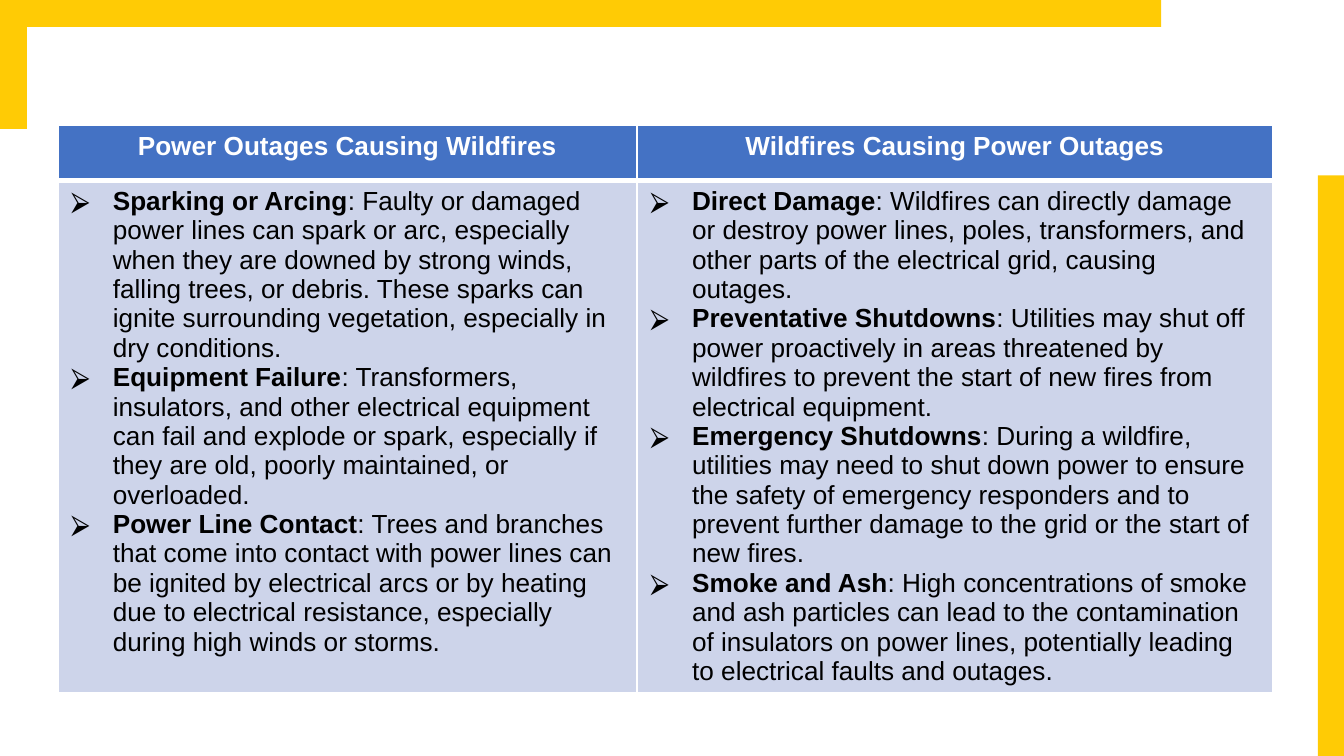
import pptx
import pptx.dml.color
import pptx.enum.shapes
import pptx.enum.text
import pptx.util
from lxml import etree
from pptx.util import Inches

COLUMNS = [
    ("Power Outages Causing Wildfires", 4.31, [
        ("Sparking or Arcing", "Faulty or damaged power lines can spark or arc, especially when they are downed by strong winds, falling trees, or debris. These sparks can ignite surrounding vegetation, especially in dry conditions."),
        ("Equipment Failure", "Transformers, insulators, and other electrical equipment can fail and explode or spark, especially if they are old, poorly maintained, or overloaded."),
        ("Power Line Contact", "Trees and branches that come into contact with power lines can be ignited by electrical arcs or by heating due to electrical resistance, especially during high winds or storms."),
    ]),
    ("Wildfires Causing Power Outages", 4.73, [
        ("Direct Damage", "Wildfires can directly damage or destroy power lines, poles, transformers, and other parts of the electrical grid, causing outages."),
        ("Preventative Shutdowns", "Utilities may shut off power proactively in areas threatened by wildfires to prevent the start of new fires from electrical equipment."),
        ("Emergency Shutdowns", "During a wildfire, utilities may need to shut down power to ensure the safety of emergency responders and to prevent further damage to the grid or the start of new fires."),
        ("Smoke and Ash", "High concentrations of smoke and ash particles can lead to the contamination of insulators on power lines, potentially leading to electrical faults and outages."),
    ]),
]
BAR = 0.2
FRAME_BARS = [(-0.38, 0.38, 0.96, BAR, 270), (0, 0, 8.64, BAR, 180), (7.73, 3.38, 4.35, BAR, 270)]
ROW_HEIGHT = 0.41
YELLOW, BLUE, PALE_BLUE, WHITE, BLACK = "FFCB05", "4472C4", "CDD4EA", "FFFFFF", "000000"
DRAWING = "{http://schemas.openxmlformats.org/drawingml/2006/main}"


def rgb(value):
    return pptx.dml.color.RGBColor.from_string(value)


def paint(target, color):
    target.fill.solid()
    target.fill.fore_color.rgb = rgb(color)


def add_borders(cell, bottom=1):
    properties = cell._tc.get_or_add_tcPr()
    for side, weight in {"lnL": 1, "lnR": 1, "lnT": 1, "lnB": bottom}.items():
        border = etree.SubElement(properties, DRAWING + side, w=str(pptx.util.Pt(weight)))
        fill = etree.SubElement(border, DRAWING + "solidFill")
        etree.SubElement(fill, DRAWING + "srgbClr", val=WHITE)


def add_text(paragraph, text, *, color=BLACK, bold=False, size=14):
    run = paragraph.add_run()
    run.text = text
    run.font.name = "Arial"
    run.font.size = pptx.util.Pt(size)
    run.font.bold = bold
    run.font.color.rgb = rgb(color)


def add_bullet(paragraph, indent=0.31):
    properties = paragraph._p.get_or_add_pPr()
    properties.set("marL", str(Inches(indent)))
    properties.set("indent", str(-Inches(indent)))
    bullet_color = etree.SubElement(properties, DRAWING + "buClr")
    etree.SubElement(bullet_color, DRAWING + "srgbClr", val=BLACK)
    etree.SubElement(properties, DRAWING + "buFont", typeface="Arial")
    etree.SubElement(properties, DRAWING + "buChar", char="⮚")


def main():
    deck = pptx.Presentation()
    deck.slide_width = Inches(10)
    deck.slide_height = deck.slide_width * 9 // 16
    slide = deck.slides.add_slide(deck.slide_layouts[6])

    for *place, rotation in FRAME_BARS:
        bar = slide.shapes.add_shape(pptx.enum.shapes.MSO_SHAPE.RECTANGLE, *map(Inches, place))
        bar.rotation = rotation
        paint(bar, YELLOW)
        bar.line.fill.background()
        bar.shadow.inherit = False

    table_width = sum(width for _, width, _ in COLUMNS)
    comparison = slide.shapes.add_table(
        2, len(COLUMNS), Inches(0.43), Inches(0.93),
        Inches(table_width), Inches(2 * ROW_HEIGHT)).table

    for index, (heading, width, causes) in enumerate(COLUMNS):
        comparison.columns[index].width = Inches(width)
        header, body = comparison.cell(0, index), comparison.cell(1, index)
        add_borders(header, bottom=3)
        add_borders(body)
        paint(header, BLUE)
        paint(body, PALE_BLUE)
        title = header.text_frame.paragraphs[0]
        title.alignment = pptx.enum.text.PP_ALIGN.CENTER
        add_text(title, heading, color=WHITE, bold=True)
        for position, (cause, detail) in enumerate(causes):
            frame = body.text_frame
            paragraph = frame.add_paragraph() if position else frame.paragraphs[0]
            add_bullet(paragraph)
            add_text(paragraph, cause, bold=True)
            add_text(paragraph, ": " + detail)

    deck.save("out.pptx")


if __name__ == "__main__":
    main()
